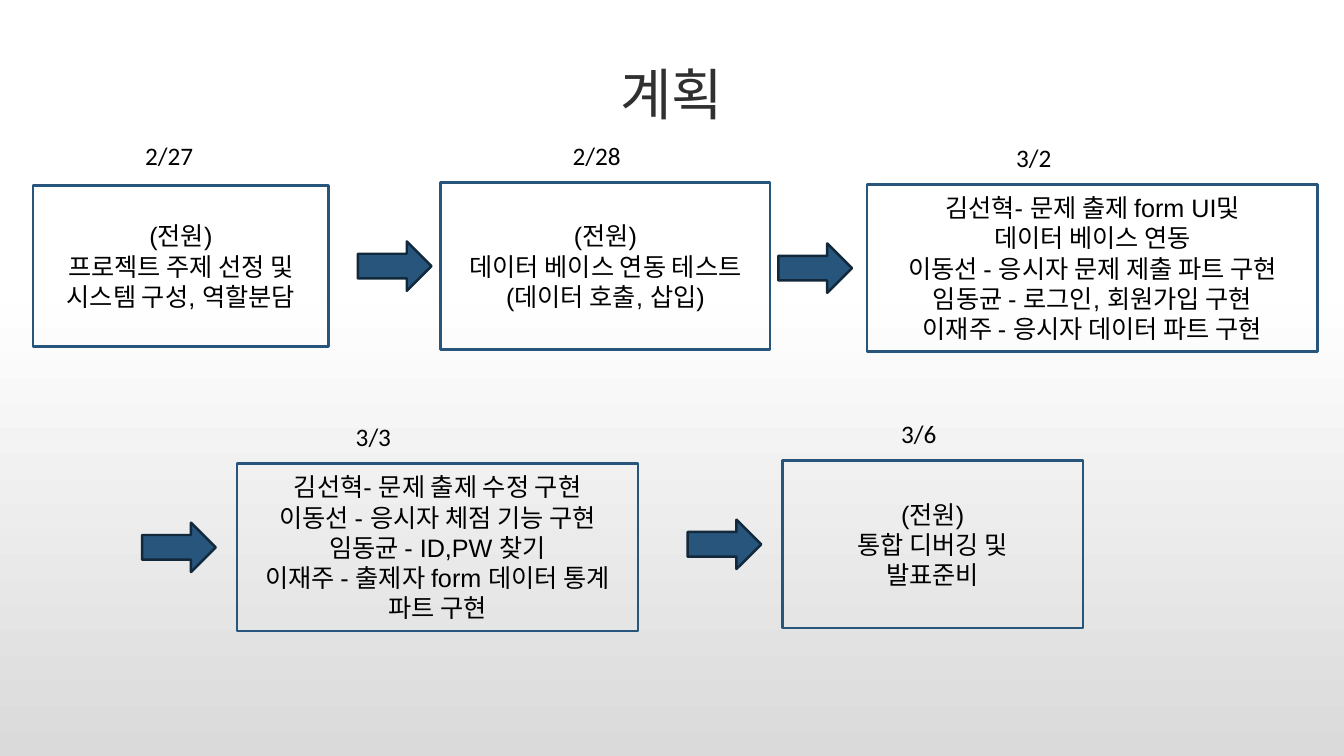
from dataclasses import dataclass

from lxml import etree
from pptx import Presentation
from pptx.dml.color import RGBColor
from pptx.enum.shapes import MSO_SHAPE
from pptx.enum.text import MSO_ANCHOR, PP_ALIGN
from pptx.oxml.ns import qn
from pptx.util import Inches, Pt

RECTANGLE = MSO_SHAPE.RECTANGLE
RIGHT_ARROW = MSO_SHAPE.RIGHT_ARROW
MIDDLE = MSO_ANCHOR.MIDDLE
CENTER = PP_ALIGN.CENTER
LEFT = PP_ALIGN.LEFT

BLACK = RGBColor(0x00, 0x00, 0x00)
TITLE_GRAY = RGBColor(0x30, 0x30, 0x30)
BLUE = RGBColor(0x27, 0x55, 0x7B)
DARK_BLUE = RGBColor(0x12, 0x28, 0x3B)
BACKGROUND_STOPS = (
    (0, RGBColor(0xFF, 0xFF, 0xFF)),
    (40, RGBColor(0xFE, 0xFE, 0xFE)),
    (100, RGBColor(0xDA, 0xDA, 0xDA)),
)

SLIDE_WIDTH, SLIDE_HEIGHT = 13.33, 7.5
ARROW_WIDTH, ARROW_HEIGHT = 0.73, 0.49
DATE_WIDTH, DATE_HEIGHT = 3.12, 0.4
DATE_RISE = 1.3  # from the middle of a step's box up to the top of its date
LINE_WIDTH = Pt(1.75)


@dataclass
class Step:
    """One stage of the plan; lengths in inches, arrow_lead None for no arrow."""
    date: str
    tasks: tuple
    box: tuple
    date_indent: float
    arrow_lead: float | None = None


STEPS = (
    Step("2/27", ("(전원)", "프로젝트 주제 선정 및 시스템 구성, 역할분담"),
         (0.33, 1.84, 2.93, 1.6), 1.01),
    Step("2/28", ("(전원)", "데이터 베이스 연동 테스트", "(데이터 호출, 삽입)"),
         (4.37, 1.81, 3.27, 1.66), 1.21, 0.82),
    Step("3/2", ("김선혁- 문제 출제 form UI및", "데이터 베이스 연동",
                 "이동선 - 응시자 문제 제출 파트 구현",
                 "임동균 - 로그인, 회원가입 구현",
                 "이재주 - 응시자 데이터 파트 구현"),
         (8.6, 1.83, 4.47, 1.66), 1.38, 0.88),
    Step("3/3", ("김선혁- 문제 출제 수정 구현", "이동선 - 응시자 체점 기능 구현",
                 "임동균 - ID,PW 찾기",
                 "이재주 - 출제자 form 데이터 통계 파트 구현"),
         (2.35, 4.6, 3.98, 1.66), 1.08, 0.94),
    Step("3/6", ("(전원)", "통합 디버깅 및", "발표준비"),
         (7.76, 4.57, 2.98, 1.66), 1.08, 0.94),
)


def paint_background(slide):
    fill = slide.background.fill
    fill.gradient()
    fill.gradient_angle = 270
    stop_list = slide.background._cSld.find(".//" + qn("a:gsLst"))
    for old_stop in list(stop_list):
        stop_list.remove(old_stop)
    for percent, color in BACKGROUND_STOPS:
        stop = etree.SubElement(stop_list, qn("a:gs"), pos=str(percent * 1000))
        etree.SubElement(stop, qn("a:srgbClr"), val=str(color))


def write_lines(text_frame, lines, font_name, size, color, alignment):
    text_frame.word_wrap = True
    for index, line in enumerate(lines):
        paragraph = text_frame.paragraphs[0] if index == 0 else text_frame.add_paragraph()
        paragraph.alignment = alignment
        run = paragraph.add_run()
        run.text = line
        run.font.name = font_name
        run.font.size = Pt(size)
        run.font.color.rgb = color


def add_outlined_shape(slide, kind, box, line_color):
    shape = slide.shapes.add_shape(kind, *map(Inches, box))
    shape.shadow.inherit = False
    shape.line.color.rgb = line_color
    shape.line.width = LINE_WIDTH
    return shape


def add_title(slide, text, box):
    title = slide.shapes.title
    title.left, title.top, title.width, title.height = map(Inches, box)
    title.text_frame.vertical_anchor = MIDDLE
    write_lines(title.text_frame, [text], "Arial", 40, TITLE_GRAY, CENTER)


def add_step(slide, step):
    """Place the task box, with its date above and its arrow to the left."""
    left, top, _, height = step.box
    middle = top + height / 2

    task_box = add_outlined_shape(slide, RECTANGLE, step.box, BLUE)
    task_box.fill.background()
    task_box.text_frame.vertical_anchor = MIDDLE
    write_lines(task_box.text_frame, step.tasks, "Arial", 18, BLACK, CENTER)

    if step.arrow_lead is not None:
        arrow_box = (left - step.arrow_lead, middle - ARROW_HEIGHT / 2,
                     ARROW_WIDTH, ARROW_HEIGHT)
        arrow = add_outlined_shape(slide, RIGHT_ARROW, arrow_box, DARK_BLUE)
        arrow.fill.solid()
        arrow.fill.fore_color.rgb = BLUE

    date_box = (left + step.date_indent, middle - DATE_RISE, DATE_WIDTH, DATE_HEIGHT)
    date = slide.shapes.add_textbox(*map(Inches, date_box))
    write_lines(date.text_frame, [step.date], "Calibri", 18, BLACK, LEFT)


def main():
    presentation = Presentation()
    presentation.slide_width = Inches(SLIDE_WIDTH)
    presentation.slide_height = Inches(SLIDE_HEIGHT)
    title_only = presentation.slide_layouts.get_by_name("Title Only")
    slide = presentation.slides.add_slide(title_only)
    paint_background(slide)
    add_title(slide, "계획", (SLIDE_WIDTH * 0.05, SLIDE_HEIGHT * 0.04,
                            SLIDE_WIDTH * 0.9, 1.25))
    for step in STEPS:
        add_step(slide, step)
    presentation.save("out.pptx")


if __name__ == "__main__":
    main()
